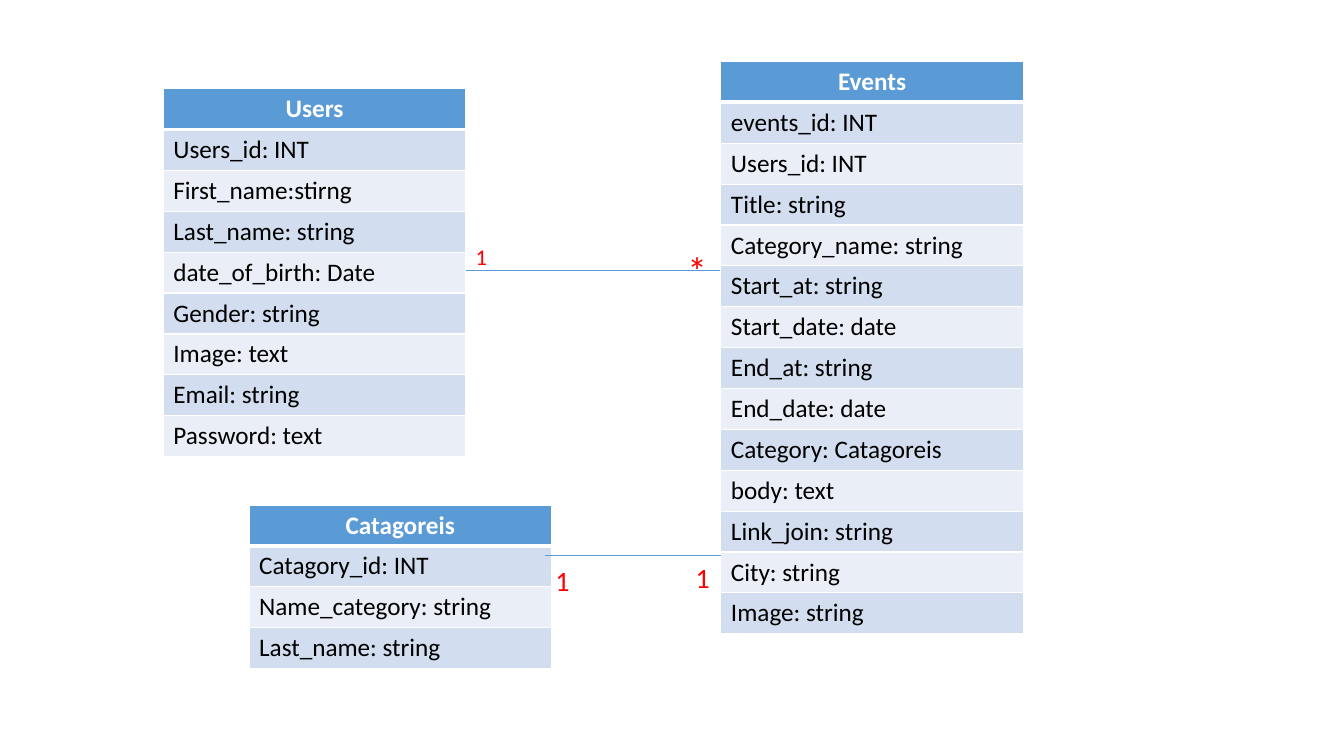
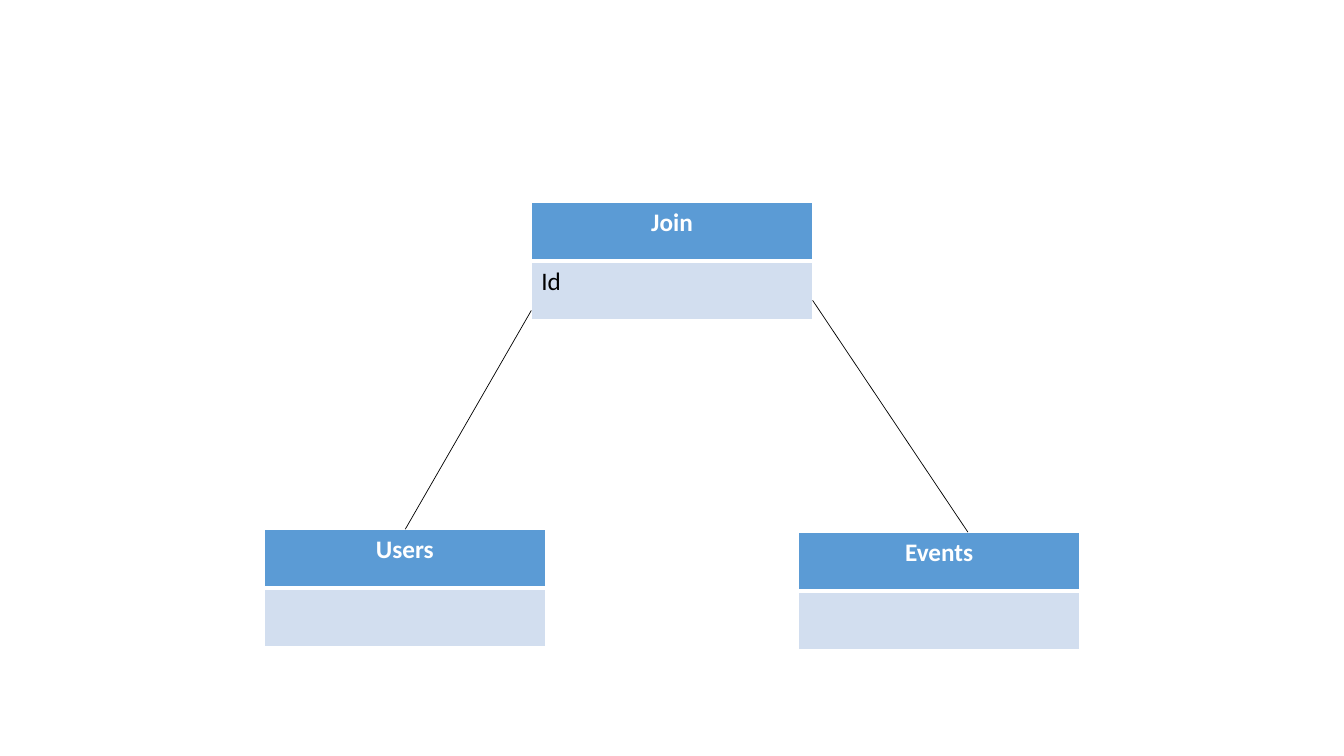
from lxml import etree
from pptx import Presentation
from pptx.dml.color import RGBColor
from pptx.enum.shapes import MSO_CONNECTOR
from pptx.enum.text import PP_ALIGN
from pptx.oxml.ns import qn
from pptx.util import Inches, Pt

STRAIGHT = MSO_CONNECTOR.STRAIGHT
LEFT, CENTER = PP_ALIGN.LEFT, PP_ALIGN.CENTER
FONT = "Calibri"
BLUE = RGBColor(0x5B, 0x9B, 0xD5)
BAND_DARK = RGBColor(0xD2, 0xDE, 0xEF)
BAND_LIGHT = RGBColor(0xEA, 0xEF, 0xF7)
WHITE = RGBColor(0xFF, 0xFF, 0xFF)
BLACK = RGBColor(0x00, 0x00, 0x00)
RED = RGBColor(0xFF, 0x00, 0x00)


def add_entity(slide, left, top, width, row_height, name, fields):
    """Table with a blue header and one banded row per field."""
    rows = [name] + fields
    table = slide.shapes.add_table(
        len(rows), 1, Inches(left), Inches(top),
        Inches(width), Inches(row_height * len(rows))).table
    for index, text in enumerate(rows):
        header = index == 0
        cell = table.cell(index, 0)
        cell.text = text
        paragraph = cell.text_frame.paragraphs[0]
        paragraph.alignment = CENTER if header else LEFT
        paragraph.font.name = FONT
        paragraph.font.size = Pt(18)
        paragraph.font.bold = header
        paragraph.font.color.rgb = WHITE if header else BLACK

        # White borders, thicker under the header
        properties = cell._tc.get_or_add_tcPr()
        widths = {"lnL": 1, "lnR": 1, "lnT": 3 if index == 1 else 1,
                  "lnB": 3 if header else 1}
        for side, points in widths.items():
            border = etree.SubElement(properties, qn("a:" + side), w=str(Pt(points)))
            border_fill = etree.SubElement(border, qn("a:solidFill"))
            etree.SubElement(border_fill, qn("a:srgbClr"), val=str(WHITE))

        cell.fill.solid()
        band = BAND_DARK if index % 2 else BAND_LIGHT
        cell.fill.fore_color.rgb = BLUE if header else band


def add_relation(slide, start, end, color):
    """Thin straight line between two points."""
    line = slide.shapes.add_connector(
        STRAIGHT, *(Inches(value) for value in start + end))
    line.line.color.rgb = color
    line.line.width = Pt(0.5)
    etree.SubElement(line._element.spPr, qn("a:effectLst"))


presentation = Presentation()
presentation.slide_width = Inches(13.33)
presentation.slide_height = Inches(7.5)
blank = presentation.slide_layouts[6]

# Slide 1: entities with their fields
schema = presentation.slides.add_slide(blank)
entities = [
    (1.62, 0.88, "Users", [
        "Users_id: INT", "First_name:stirng", "Last_name: string",
        "date_of_birth: Date", "Gender: string", "Image: text",
        "Email: string", "Password: text"]),
    (7.15, 0.61, "Events", [
        "events_id: INT", "Users_id: INT", "Title: string",
        "Category_name: string", "Start_at: string", "Start_date: date",
        "End_at: string", "End_date: date", "Category: Catagoreis",
        "body: text", "Link_join: string", "City: string", "Image: string"]),
    (2.47, 5.01, "Catagoreis", [
        "Catagory_id: INT", "Name_category: string", "Last_name: string"]),
]
for left, top, name, fields in entities:
    add_entity(schema, left, top, 3, 0.4, name, fields)

add_relation(schema, (4.62, 2.68), (7.14, 2.68), BLUE)
add_relation(schema, (5.41, 5.51), (7.15, 5.51), BLUE)

# Multiplicities at the line ends
multiplicities = [
    ("*", 6.72, 2.39, 0.57, 28),
    ("1", 4.62, 2.36, 0.37, 16),
    ("1", 5.41, 5.54, 0.44, 20),
    ("1", 6.8, 5.51, 0.44, 20),
]
for mark, left, top, height, size in multiplicities:
    frame = schema.shapes.add_textbox(
        Inches(left), Inches(top), Inches(0.41), Inches(height)).text_frame
    frame.word_wrap = True
    frame.text = mark
    font = frame.paragraphs[0].font
    font.name = FONT
    font.size = Pt(size)
    font.color.rgb = RED

# Slide 2: Join links Users and Events
join = presentation.slides.add_slide(blank)
for left, top, name, field in [
    (2.62, 5.25, "Users", ""),
    (7.92, 5.28, "Events", ""),
    (5.27, 2.01, "Join", "Id"),
]:
    add_entity(join, left, top, 2.79, 0.58, name, [field])

add_relation(join, (4.02, 5.25), (5.27, 3.08), BLACK)
add_relation(join, (9.6, 5.28), (8.06, 2.98), BLACK)

presentation.save("out.pptx")
